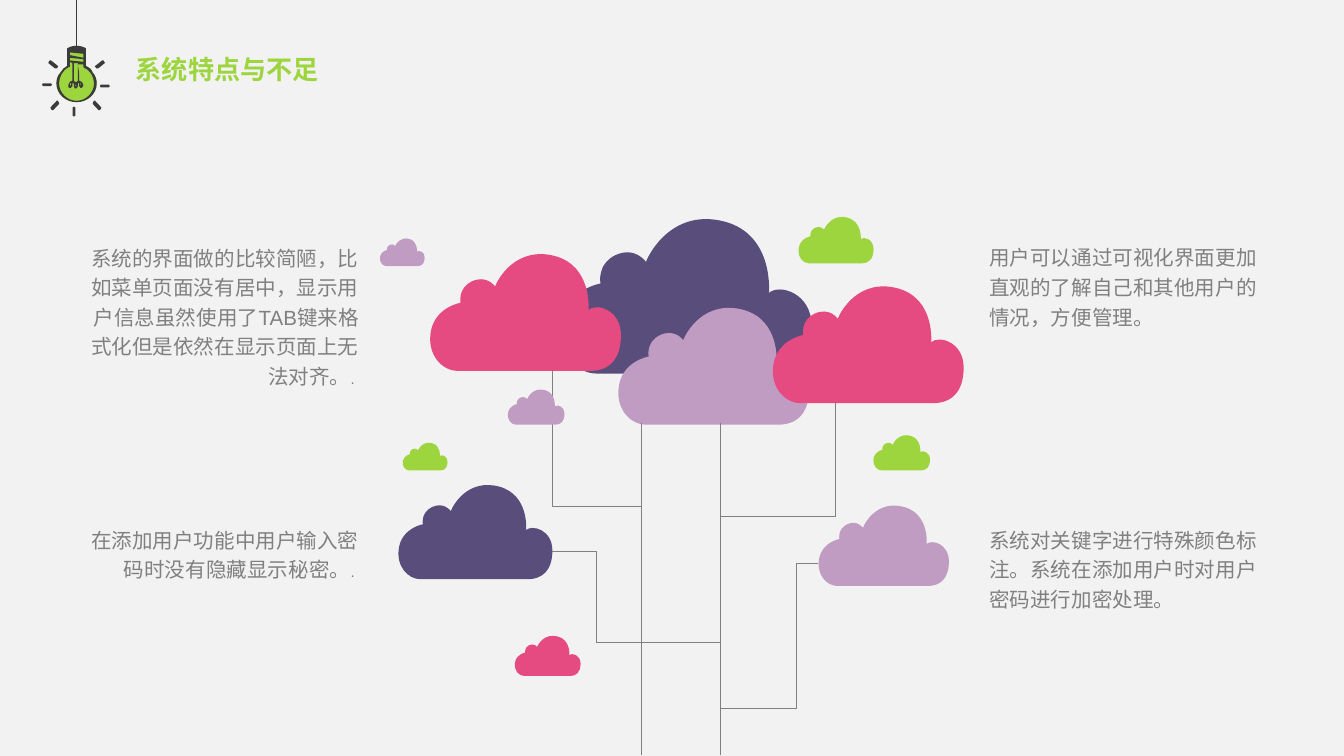
from dataclasses import dataclass

from lxml import etree
from pptx import Presentation
from pptx.dml.color import RGBColor
from pptx.enum.shapes import MSO_CONNECTOR
from pptx.enum.text import MSO_ANCHOR, MSO_AUTO_SIZE, PP_ALIGN
from pptx.oxml.ns import qn
from pptx.util import Pt

PX = 9144  # EMU per px, 100 px to the inch
LEFT, RIGHT = PP_ALIGN.LEFT, PP_ALIGN.RIGHT
TOP = MSO_ANCHOR.TOP
GROW = MSO_AUTO_SIZE.SHAPE_TO_FIT_TEXT
STRAIGHT = MSO_CONNECTOR.STRAIGHT


@dataclass(frozen=True)
class Theme:
    font: str = "Arial"
    back: str = "F2F2F2"
    grey: str = "808080"
    dark: str = "3B3B3B"
    lime: str = "9DD53E"
    indigo: str = "594D7B"
    pink: str = "E54B81"
    lilac: str = "C09CC2"
    title: int = 14
    body: int = 11
    small: int = 8
    hairline: float = 0.5
    wire: float = 1


T = Theme()

CLOUD = ("M31 123 C51 123 145 123 162 123 C179 123 192 113 192 88 C192 63 168 56 160 63 "
         "C160 63 164 20 127 10 C89 0 71 32 68 40 C68 40 60 28 45 35 C31 42 34 56 34 56 "
         "C34 56 10 60 5 83 C0 107 16 123 31 123 Z")
BULB = ("M27 20 C26 17 24 16 22 15 L22 2 C22 2 19 0 15 0 C11 0 8 2 8 2 L8 15 "
        "C6 16 4 18 3 20 C1 22 0 25 0 28 C0 36 7 42 15 42 C23 42 30 36 30 28 "
        "C30 25 29 22 27 20 Z")
SLOTS = "M10 5 L20 6 L20 9 L10 7 Z M10 9 L20 10 L20 12 L10 11 Z"
FILAMENT = ("M15 27 L14 27 C14 27 13 27 13 26 C13 23 13 18 13 15 L13 13 L16 13 L16 15 "
            "C16 18 16 23 16 26 C16 27 15 27 15 27 Z M15 30 L14 30 L14 29 Z "
            "M11 28 L11 29 L10 30 L10 28 Z M17 28 L18 28 L19 30 L18 29 Z")
GLASS = ("M9 16 L10 16 L10 12 L12 13 L12 15 C12 18 12 24 12 26 C11 26 10 27 10 27 "
         "C9 28 9 28 9 29 C9 30 9 31 9 31 C10 32 11 32 12 30 C12 30 12 29 12 28 L13 28 "
         "C13 29 13 29 13 30 C13 31 14 32 14 32 C15 32 16 31 16 30 C16 29 16 29 16 28 "
         "L17 28 C17 29 17 30 17 30 C18 32 19 32 19 31 C20 31 20 30 20 29 "
         "C20 28 19 28 19 27 C18 27 18 26 17 26 C17 24 17 18 16 15 L16 14 L20 14 L20 16 "
         "C25 18 28 23 28 28 C28 35 22 41 15 41 C8 41 2 35 2 28 C2 23 5 18 9 16 Z")
RAY_ACROSS = "M1 2 L7 2 C8 2 8 0 7 0 L1 0 C0 0 0 2 1 2 Z"
RAY_DOWN = "M0 1 L0 7 C0 8 2 8 2 7 L2 1 C2 0 0 0 0 1 Z"
RAY_FALL = "M0 2 L5 6 C6 6 7 6 7 5 C8 5 7 4 7 4 L2 0 C2 0 1 0 1 0 C0 1 0 2 0 2 Z"
RAY_RISE = "M8 2 L3 6 C2 6 1 6 1 5 C0 5 1 4 1 4 L6 0 C6 0 7 0 7 0 C8 1 8 2 8 2 Z"

CLOUDS = [  # left, top, width, colour
    (131, 0, 191, T.indigo), (35, 28, 145, T.pink), (175, 68, 145, T.lilac),
    (290, 52, 145, T.pink), (311, 4, 57, T.lime), (0, 21, 34, T.lilac),
    (17, 173, 34, T.lime), (367, 167, 43, T.lime), (12, 201, 117, T.indigo),
    (325, 217, 99, T.lilac), (100, 316, 50, T.pink),
]
FRONT_CLOUD = (95, 133, 43, T.lilac)
TRUNKS = (195, 254)
BRANCHES = [
    [(129, 121), (129, 222), (195, 222)],
    [(254, 229), (340, 229), (340, 145)],
    [(327, 264), (311, 264), (311, 372), (254, 372)],
    [(254, 323), (162, 323), (162, 255), (129, 255)],
]
RAYS = [  # left, top, width, height, outline, grid
    (43, 63, 8, 2, RAY_ACROSS, (8, 2)), (0, 62, 8, 2, RAY_ACROSS, (8, 2)),
    (23, 79, 2, 8, RAY_DOWN, (2, 8)),
    (5, 45, 8, 6, RAY_FALL, (8, 6)), (39, 45, 8, 6, RAY_RISE, (8, 6)),
    (6, 75, 7, 7, RAY_RISE, (8, 6)), (38, 75, 7, 7, RAY_FALL, (8, 6)),
]
NOTES = [  # box, alignment, text, closing mark
    ((736, 179, 212, 64), LEFT, "用户可以通过可视化界面更加直观的了解自己和其他用户的情况，方便管理。", ""),
    ((736, 389, 212, 64), LEFT, "系统对关键字进行特殊颜色标注。系统在添加用户时对用户密码进行加密处理。", ""),
    ((55, 179, 212, 111), RIGHT,
     "系统的界面做的比较简陋，比如菜单页面没有居中，显示用户信息虽然使用了TAB键来格式化但是依然在显示页面上无法对齐。", ". "),
    ((55, 389, 212, 44), RIGHT, "在添加用户功能中用户输入密码时没有隐藏显示秘密。", ". "),
]


def px(*lengths):
    return [n * PX for n in lengths]


def rgb(colour):
    return RGBColor.from_string(colour)


def polyline(shapes, points, close):
    first, *rest = [px(*point) for point in points]
    builder = shapes.build_freeform(*first)
    builder.add_line_segments(rest, close=close)
    sp = builder.convert_to_shape()
    sp.shadow.inherit = False
    return sp


def curved(shapes, box, outline, grid, colour):
    """Fill a box with an outline of M, L, C and Z steps drawn on a grid."""
    x, y, w, h = box
    sp = polyline(shapes, [(x, y), (x + w, y), (x + w, y + h), (x, y + h)], True)
    path = sp.element.find(".//" + qn("a:path"))
    for child in list(path):
        path.remove(child)
    path.set("w", str(grid[0]))
    path.set("h", str(grid[1]))
    tags = {"M": "a:moveTo", "L": "a:lnTo", "C": "a:cubicBezTo", "Z": "a:close"}
    step = None
    numbers = iter(outline.split())
    for token in numbers:
        if token[0] in tags:
            step = etree.SubElement(path, qn(tags[token[0]]))
            token = token[1:]
        if token:
            etree.SubElement(step, qn("a:pt"), x=token, y=next(numbers))
    sp.fill.solid()
    sp.fill.fore_color.rgb = rgb(colour)
    sp.line.fill.background()


def stroke(sp, colour, width):
    sp.line.color.rgb = rgb(colour)
    sp.line.width = Pt(width)


def straight(shapes, start, end, colour, width):
    line = shapes.add_connector(STRAIGHT, *px(*start, *end))
    stroke(line, colour, width)
    etree.SubElement(line.element.spPr, qn("a:effectLst"))


def add_run(p, text, size, colour, bold=False):
    r = p.add_run()
    r.text = text
    for name, value in {"name": T.font, "size": Pt(size), "bold": bold}.items():
        setattr(r.font, name, value)
    r.font.color.rgb = rgb(colour)


def place_title(s, box, text):
    sp = s.shapes.title
    sp.left, sp.top, sp.width, sp.height = px(*box)
    tf = sp.text_frame
    for name, value in {"word_wrap": False, "auto_size": GROW, "vertical_anchor": TOP}.items():
        setattr(tf, name, value)
    p = tf.paragraphs[0]
    p.alignment = LEFT
    add_run(p, text, T.title, T.lime, True)


def place_note(s, box, align, text, mark):
    tf = s.shapes.add_textbox(*px(*box)).text_frame
    margins = {f"margin_{side}": 0 for side in ("left", "top", "right", "bottom")}
    for name, value in {"word_wrap": True, "auto_size": GROW, **margins}.items():
        setattr(tf, name, value)
    p = tf.paragraphs[0]
    p.alignment, p.line_spacing = align, 1.2
    add_run(p, text, T.body, T.grey)
    if mark:
        add_run(p, mark, T.small, T.grey)


def place_tree(s, box):
    x, y, _, h = box

    def cloud(left, top, width, colour):
        cloud_box = (x + left, y + top, width, round(width * 123 / 191))
        curved(s.shapes, cloud_box, CLOUD, (192, 123), colour)

    for spot in CLOUDS:
        cloud(*spot)
    for trunk in TRUNKS:
        straight(s.shapes, (x + trunk, y + 160), (x + trunk, y + h), T.grey, T.hairline)
    for points in BRANCHES:
        sp = polyline(s.shapes, [(x + a, y + b) for a, b in points], False)
        sp.fill.background()
        stroke(sp, T.grey, T.hairline)
    cloud(*FRONT_CLOUD)


def place_lamp(s, box):
    x, y, _, _ = box
    shapes = s.shapes.add_group_shape().shapes
    bulb_box = (x + 11, y + 34, 30, 42)
    curved(shapes, bulb_box, BULB, (30, 42), T.lime)
    ink = " ".join((BULB, SLOTS, FILAMENT, GLASS))
    curved(shapes, bulb_box, ink, (30, 42), T.dark)
    for left, top, w, h, outline, grid in RAYS:
        curved(shapes, (x + left, y + top, w, h), outline, grid, T.dark)
    straight(shapes, (x + 26, y + 37), (x + 26, y), T.dark, T.wire)


def main():
    prs = Presentation()
    prs.slide_width = 1000 * PX
    prs.slide_height = prs.slide_width * 9 // 16
    s = prs.slides.add_slide(prs.slide_layouts[5])
    s.background.fill.solid()
    s.background.fill.fore_color.rgb = rgb(T.back)
    for note in NOTES:
        place_note(s, *note)
    place_tree(s, (282, 155, 435, 407))
    place_title(s, (91, 35, 158, 34), "系统特点与不足")
    place_lamp(s, (31, 0, 52, 87))
    prs.save("out.pptx")


if __name__ == "__main__":
    main()
